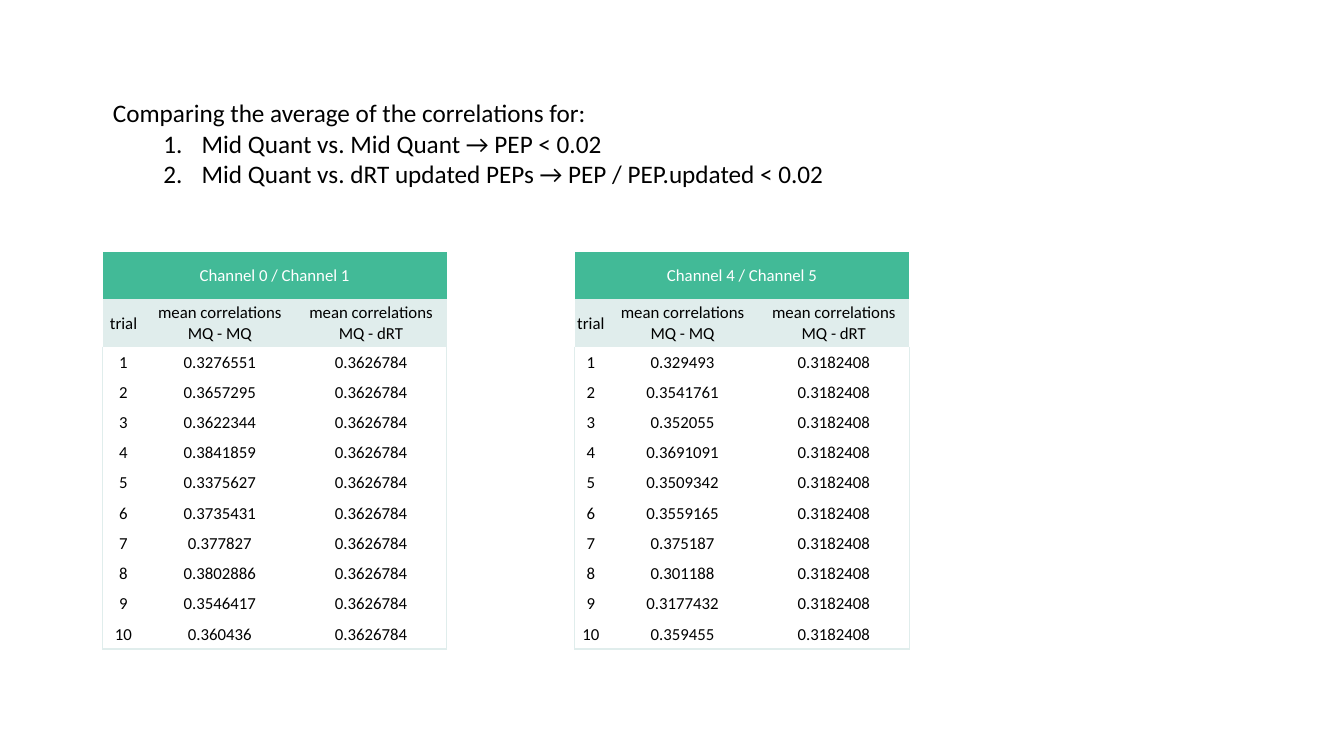
from dataclasses import dataclass

from lxml import etree
from pptx import Presentation
from pptx.dml.color import RGBColor
from pptx.enum.text import MSO_ANCHOR, MSO_AUTO_SIZE, PP_ALIGN
from pptx.oxml.ns import qn
from pptx.util import Inches, Pt

CENTER = PP_ALIGN.CENTER
MIDDLE, TOP = MSO_ANCHOR.MIDDLE, MSO_ANCHOR.TOP
FIT_SHAPE = MSO_AUTO_SIZE.SHAPE_TO_FIT_TEXT
PLAIN_TABLE_STYLE = "{2D5ABB26-0587-4C30-8999-92F81FD0307C}"
TITLE_AND_CONTENT = 1


@dataclass(frozen=True)
class Theme:
    font: str = "Calibri"
    text: RGBColor = RGBColor(0x00, 0x00, 0x00)
    banner_text: RGBColor = RGBColor(0xFF, 0xFF, 0xFF)
    banner: RGBColor = RGBColor(0x42, 0xBA, 0x97)
    pale: RGBColor = RGBColor(0xE0, 0xED, 0xEC)
    intro_size: Pt = Pt(18)
    table_size: Pt = Pt(12)
    border_width: Pt = Pt(1)


THEME = Theme()

INTRO = "Comparing the average of the correlations for:"
COMPARISONS = [
    "Mid Quant vs. Mid Quant → PEP < 0.02",
    "Mid Quant vs. dRT updated PEPs → PEP / PEP.updated < 0.02",
]
COLUMN_HEADINGS = ["trial", "mean correlations MQ - MQ", "mean correlations MQ - dRT"]
CHANNELS_0_1 = ["0.3276551", "0.3657295", "0.3622344", "0.3841859", "0.3375627",
                "0.3735431", "0.377827", "0.3802886", "0.3546417", "0.360436"]
CHANNELS_4_5 = ["0.329493", "0.3541761", "0.352055", "0.3691091", "0.3509342",
                "0.3559165", "0.375187", "0.301188", "0.3177432", "0.359455"]

TABLE_TOP = 2.5
HEADING_HEIGHT = 0.47
TRIAL_HEIGHT = 0.3
MEAN_WIDTH = 1.5


def style_font(paragraph, size, color):
    font = paragraph.font
    font.name, font.size = THEME.font, size
    font.color.rgb = color


def set_list_format(paragraph, bullet_tag, margin=0, indent=0, **bullet_attributes):
    """Set the indents and the bullet kind of a paragraph."""
    properties = paragraph._p.get_or_add_pPr()
    properties.set("marL", str(Inches(margin)))
    properties.set("indent", str(Inches(indent)))
    bullet = etree.Element(qn(bullet_tag), bullet_attributes)
    properties.insert_element_before(bullet, "a:tabLst", "a:defRPr", "a:extLst")


def add_comparison_list(slide):
    body = slide.placeholders[1]
    body.left, body.top = Inches(1.02), Inches(0.92)
    body.width, body.height = Inches(7.36), Inches(1.01)
    frame = body.text_frame
    frame.word_wrap = True
    frame.auto_size = FIT_SHAPE
    frame.vertical_anchor = TOP
    frame.text = "\n".join([INTRO, *COMPARISONS])
    intro, *comparisons = frame.paragraphs
    for paragraph in frame.paragraphs:
        paragraph.space_before = Pt(0)
        style_font(paragraph, THEME.intro_size, THEME.text)
    set_list_format(intro, "a:buNone")
    for comparison in comparisons:
        comparison.level = 1
        set_list_format(comparison, "a:buAutoNum", 0.88, -0.38, type="arabicPeriod")


def write_cell(cell, text, color=THEME.text, fill=None):
    cell.text = text
    cell.vertical_anchor = MIDDLE
    cell.margin_left = cell.margin_right = cell.margin_top = Inches(0.01)
    cell.margin_bottom = 0
    paragraph = cell.text_frame.paragraphs[0]
    paragraph.alignment = CENTER
    style_font(paragraph, THEME.table_size, color)
    if fill is None:
        cell.fill.background()
    else:
        cell.fill.solid()
        cell.fill.fore_color.rgb = fill


def add_borders(cell, sides):
    """Draw pale lines on the given sides, listed in the order L, R, T, B."""
    properties = cell._tc.get_or_add_tcPr()
    for position, side in enumerate(sides):
        line = etree.Element(qn(f"a:ln{side}"), w=str(THEME.border_width))
        solid = etree.SubElement(line, qn("a:solidFill"))
        etree.SubElement(solid, qn("a:srgbClr"), val=str(THEME.pale))
        properties.insert(position, line)


def add_correlation_table(slide, left, trial_width, channels, mq_means, drt_mean):
    trials = [[str(number), mq_mean, drt_mean]
              for number, mq_mean in enumerate(mq_means, start=1)]
    widths = [trial_width, MEAN_WIDTH, MEAN_WIDTH]
    heights = [HEADING_HEIGHT] * 2 + [TRIAL_HEIGHT] * len(trials)
    frame = slide.shapes.add_table(
        len(heights), len(widths), Inches(left), Inches(TABLE_TOP),
        Inches(sum(widths)), Inches(sum(heights)))
    table = frame.table
    frame.element.find(".//" + qn("a:tableStyleId")).text = PLAIN_TABLE_STYLE
    table.first_row = table.horz_banding = False
    for column, width in zip(table.columns, widths):
        column.width = Inches(width)
    for row, height in zip(table.rows, heights):
        row.height = Inches(height)

    banner = table.cell(0, 0)
    banner.merge(table.cell(0, len(widths) - 1))
    write_cell(banner, channels, THEME.banner_text, THEME.banner)
    for column, heading in enumerate(COLUMN_HEADINGS):
        write_cell(table.cell(1, column), heading, fill=THEME.pale)
    for row, trial in enumerate(trials, start=2):
        bottom = "B" if row == len(heights) - 1 else ""
        for column, (value, outer_side) in enumerate(zip(trial, ["L", "", "R"])):
            cell = table.cell(row, column)
            write_cell(cell, value)
            add_borders(cell, outer_side + bottom)


def main():
    presentation = Presentation()
    presentation.slide_width, presentation.slide_height = Inches(13.33), Inches(7.5)
    slide = presentation.slides.add_slide(presentation.slide_layouts[TITLE_AND_CONTENT])
    empty_title = slide.shapes.title.element
    empty_title.getparent().remove(empty_title)

    add_correlation_table(slide, 1.02, 0.41, "Channel 0 / Channel 1",
                          CHANNELS_0_1, "0.3626784")
    add_correlation_table(slide, 5.7, 0.32, "Channel 4 / Channel 5",
                          CHANNELS_4_5, "0.3182408")
    add_comparison_list(slide)
    presentation.save("out.pptx")


if __name__ == "__main__":
    main()
